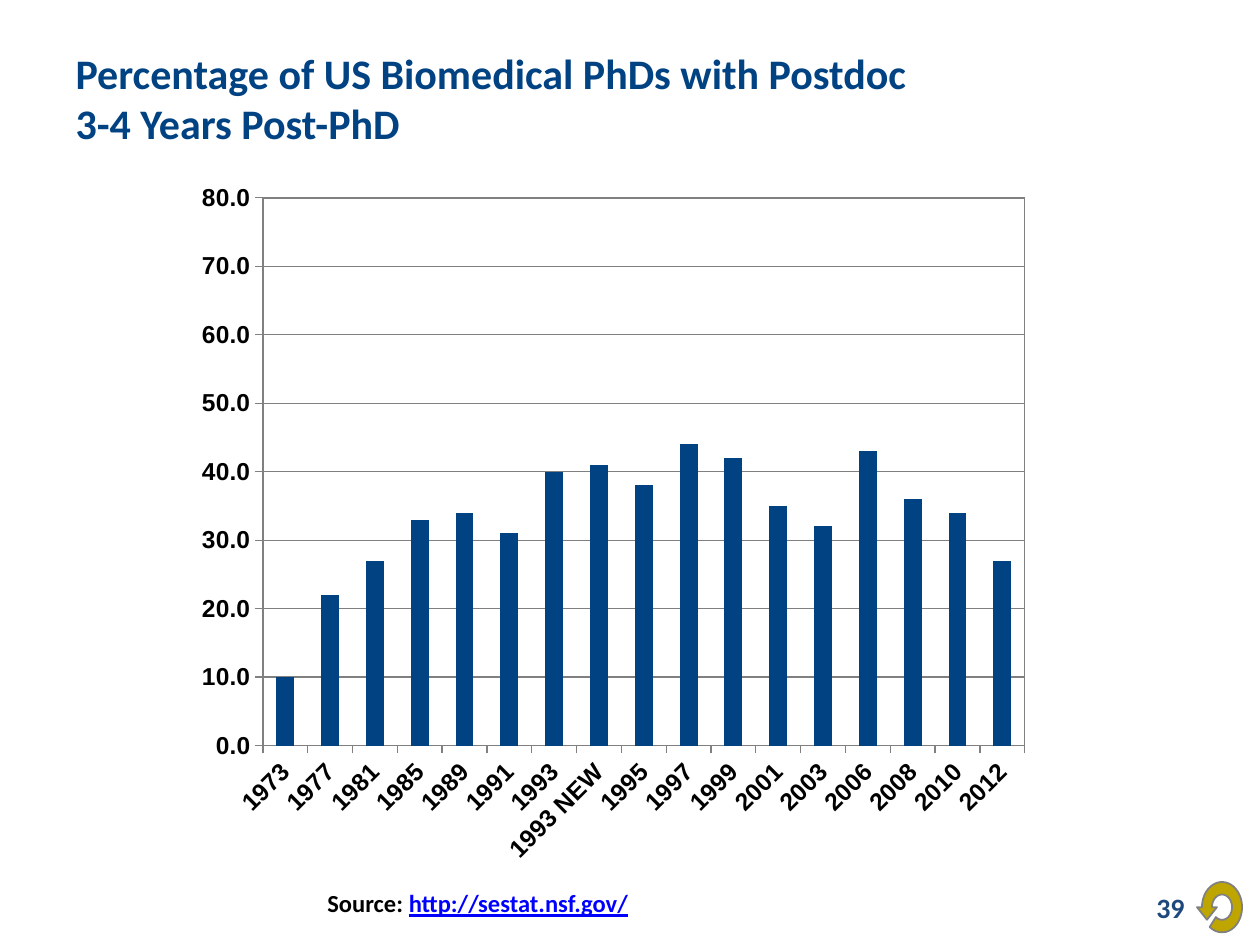
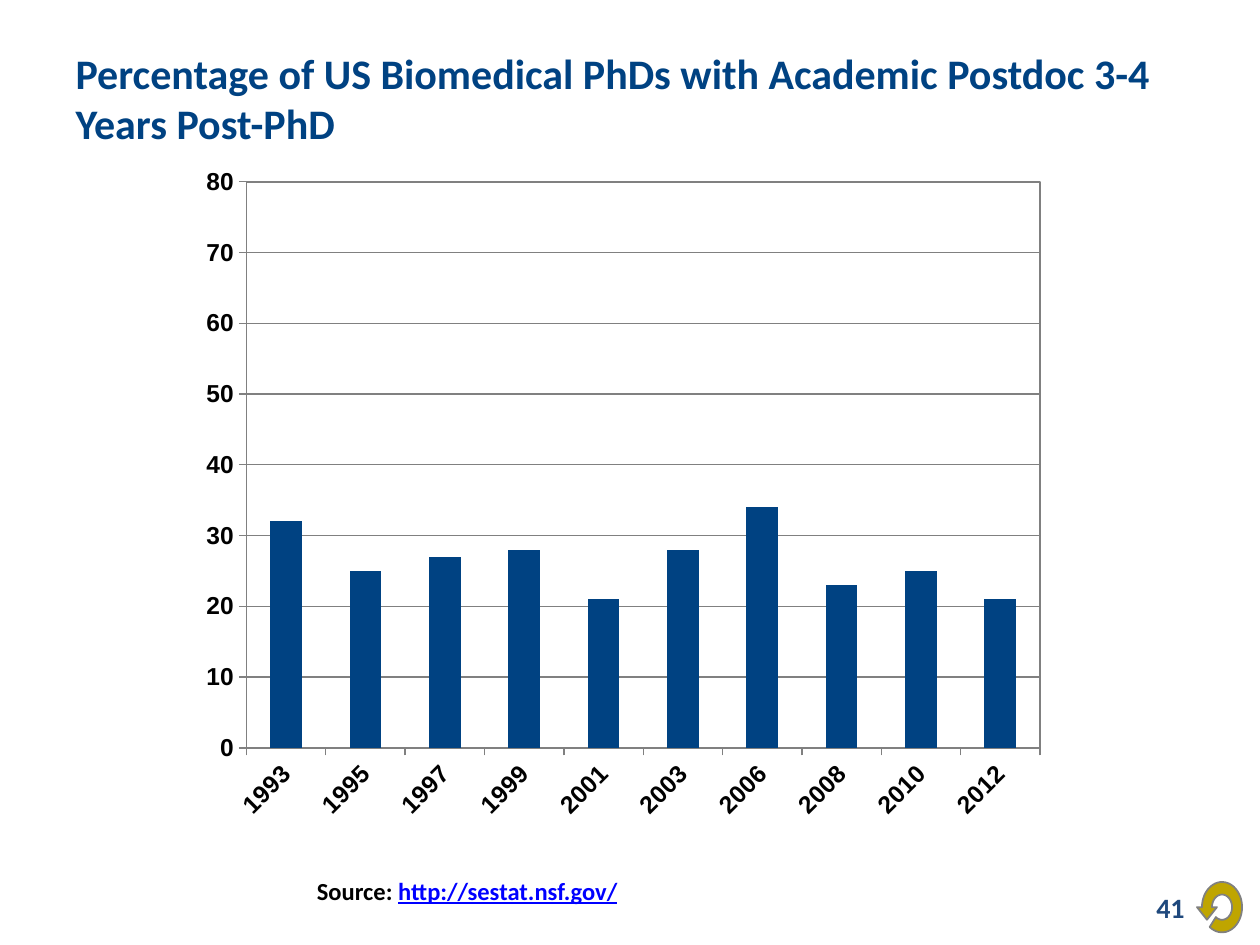
"""Two chart pages on postdoc rates among biomedical PhDs."""
from math import cos, radians, sin

from lxml import etree
from pptx import Presentation
from pptx.chart.data import CategoryChartData
from pptx.dml.color import RGBColor
from pptx.enum.chart import XL_CHART_TYPE, XL_TICK_MARK
from pptx.enum.text import MSO_ANCHOR, PP_ALIGN
from pptx.oxml import parse_xml
from pptx.oxml.ns import nsdecls, qn
from pptx.util import Inches, Pt

COLUMN_CHART = XL_CHART_TYPE.COLUMN_CLUSTERED
TICK_OUTSIDE = XL_TICK_MARK.OUTSIDE
MIDDLE, TOP = MSO_ANCHOR.MIDDLE, MSO_ANCHOR.TOP
LEFT, RIGHT = PP_ALIGN.LEFT, PP_ALIGN.RIGHT
TITLE_ONLY = 5

COLORS = {"navy": "004282", "number": "1F497D", "link": "0000FF",
          "black": "000000", "gold": "BFA500", "gray": "808080"}
TEXT_FONT, AXIS_FONT = "Calibri", "Arial"

# Boxes are (column, row, columns, rows) on a grid of 120 by 90 units.
UNIT = Inches(10) // 120
TITLE_BOX = (6, 3.6, 108, 11.4)
NUMBER_BOX = (86, 84, 28, 4.8)
ARROW_BOX = (114, 84, 4.3, 4.8)

PAGES = [
    {"title": "Percentage of US Biomedical PhDs with Postdoc \v3-4 Years Post-PhD",
     "number": "39",
     "source_box": (30, 84, 56, 4),
     "chart_box": (17, 15, 82, 67.5),
     "plot": (0.098, 0.057, 0.885, 0.773),
     "format": "0.0",
     "values": {"1973": 10, "1977": 22, "1981": 27, "1985": 33, "1989": 34,
                "1991": 31, "1993": 40, "1993 NEW": 41, "1995": 38, "1997": 44,
                "1999": 42, "2001": 35, "2003": 32, "2006": 43, "2008": 36,
                "2010": 34, "2012": 27}},
    {"title": "Percentage of US Biomedical PhDs with Academic Postdoc 3-4 Years Post-PhD",
     "number": "41",
     "source_box": (29, 82.8, 56, 4),
     "chart_box": (17, 16, 84, 64),
     "plot": (0.077, 0.02, 0.9, 0.843),
     "format": "General",
     "values": {"1993": 32, "1995": 25, "1997": 27, "1999": 28, "2001": 21,
                "2003": 28, "2006": 34, "2008": 23, "2010": 25, "2012": 21}},
]


def color(name):
    """Return a named colour."""
    return RGBColor.from_string(COLORS[name])


def units(box):
    """Turn a grid box into slide lengths."""
    return [round(length * UNIT) for length in box]


def style_font(font, size, fill="black", name=TEXT_FONT, bold=True):
    """Set the size, colour, face and weight of a font."""
    font.size, font.name, font.bold = Pt(size), name, bold
    font.color.rgb = color(fill)


def write_text(shape, spans, size, align=LEFT, anchor=TOP):
    """Fill a shape with one paragraph of (text, colour, underline) spans."""
    frame = shape.text_frame
    frame.word_wrap, frame.vertical_anchor = True, anchor
    para = frame.paragraphs[0]
    para.alignment = align
    for text, fill, underline in spans:
        for index, line in enumerate(text.split("\v")):
            if index:
                para.add_line_break()
            span = para.add_run()
            span.text = line
            style_font(span.font, size, fill)
            span.font.underline = underline


def add_title(page, text, box):
    """Place the title placeholder in its box."""
    title = page.shapes.title
    title.left, title.top, title.width, title.height = units(box)
    write_text(title, [(text, "navy", None)], 24, anchor=MIDDLE)


def add_source(page, box):
    """Place the source line."""
    spans = [("Source: ", "black", None), ("http://sestat.nsf.gov/", "link", True)]
    write_text(page.shapes.add_textbox(*units(box)), spans, 14)


def add_number(page, number, box):
    """Place the page number at the right of its box."""
    write_text(page.shapes.add_textbox(*units(box)), [(number, "number", None)],
               16, align=RIGHT, anchor=MIDDLE)


def add_return_arrow(page, box):
    """Draw a round arrow that opens at the lower left of its box."""
    left, top, width, height = units(box)
    radius_x, radius_y = width * 4 / 9, height / 2
    center_x, center_y = left + width - radius_x, top + radius_y

    def place(x, y):
        """Locate a point given in radii from the centre."""
        return round(center_x + x * radius_x), round(center_y + y * radius_y)

    def arc(radius, angles):
        """List the points of an arc."""
        return [place(radius * cos(radians(angle)), radius * sin(radians(angle)))
                for angle in angles]

    head = [place(-1.25, 0), place(-0.75, 0.5), place(-0.25, 0)]
    points = arc(0.5, range(180, 489, 7)) + arc(1, range(488, 179, -7)) + [place(-1, 0)] + head
    builder = page.shapes.build_freeform(*points[0])
    builder.add_line_segments(points[1:], close=True)
    arrow = builder.convert_to_shape()
    arrow.shadow.inherit = False
    arrow.fill.solid()
    arrow.fill.fore_color.rgb = color("gold")
    arrow.line.color.rgb = color("gray")
    arrow.line.width = Pt(1)


def style_axis(axis):
    """Give an axis bold labels, a gray line and outer ticks."""
    axis.major_tick_mark = TICK_OUTSIDE
    axis.format.line.color.rgb = color("gray")
    style_font(axis.tick_labels.font, 14, name=AXIS_FONT)


def frame_plot(chart, plot):
    """Fix the inner plot area as shares of the chart and outline it."""
    area = chart._chartSpace.chart.plotArea
    for old in area.findall(qn("c:layout")):
        area.remove(old)
    layout = parse_xml(f"<c:layout {nsdecls('c')}><c:manualLayout/></c:layout>")
    settings = [("layoutTarget", "inner"), ("xMode", "edge"), ("yMode", "edge")]
    settings += zip("xywh", map(str, plot))
    for tag, value in settings:
        etree.SubElement(layout[0], qn(f"c:{tag}")).set("val", value)
    area.insert(0, layout)
    area.append(parse_xml(
        f"<c:spPr {nsdecls('c', 'a')}><a:noFill/><a:ln w='9525'><a:solidFill>"
        f"<a:srgbClr val='{COLORS['gray']}'/></a:solidFill></a:ln></c:spPr>"))


def add_column_chart(page, values, number_format, plot, box):
    """Place a column chart with slanted year labels."""
    data = CategoryChartData()
    data.categories = list(values)
    data.add_series("Series 1", list(values.values()))
    chart = page.shapes.add_chart(COLUMN_CHART, *units(box), data).chart
    chart.has_legend = chart.has_title = False
    style_font(chart.font, 18, bold=False)

    columns = chart.plots[0]
    columns.gap_width, columns.vary_by_categories = 150, False
    fill = columns.series[0].format.fill
    fill.solid()
    fill.fore_color.rgb = color("navy")

    years, shares = chart.category_axis, chart.value_axis
    style_axis(years)
    style_axis(shares)
    years.tick_labels.font._element.getroottree()
    body = years._element.find(qn("c:txPr")).find(qn("a:bodyPr"))
    body.set("rot", "-2700000")
    body.set("vert", "horz")
    shares.minimum_scale, shares.maximum_scale, shares.major_unit = 0, 80, 10
    shares.has_major_gridlines = True
    shares.major_gridlines.format.line.color.rgb = color("gray")
    shares.tick_labels.number_format = number_format
    shares.tick_labels.number_format_is_linked = False
    frame_plot(chart, plot)


def add_chart_page(deck, content):
    """Build one page: title, chart, source and footer."""
    page = deck.slides.add_slide(deck.slide_layouts[TITLE_ONLY])
    add_title(page, content["title"], TITLE_BOX)
    add_number(page, content["number"], NUMBER_BOX)
    add_source(page, content["source_box"])
    add_return_arrow(page, ARROW_BOX)
    add_column_chart(page, content["values"], content["format"],
                     content["plot"], content["chart_box"])


deck = Presentation()
deck.slide_width, deck.slide_height = Inches(10), Inches(7.5)
for content in PAGES:
    add_chart_page(deck, content)
deck.save("out.pptx")
